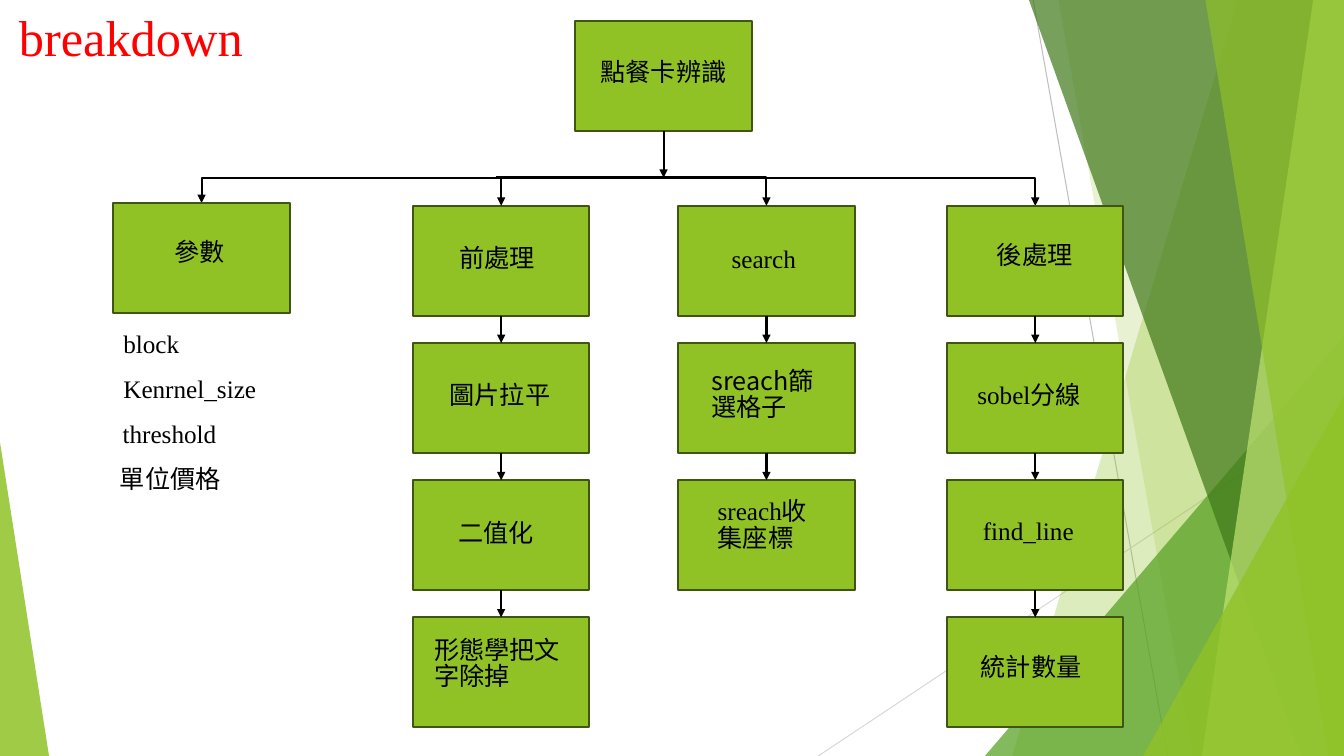
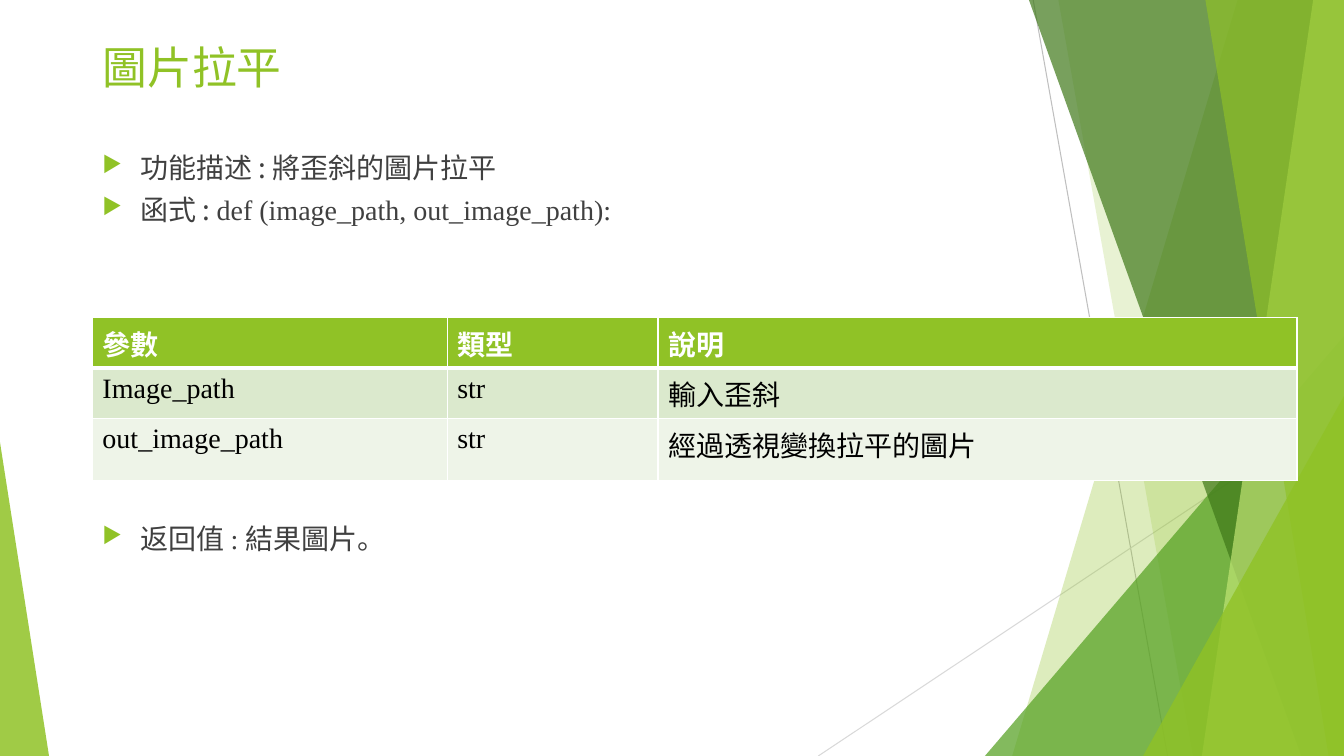
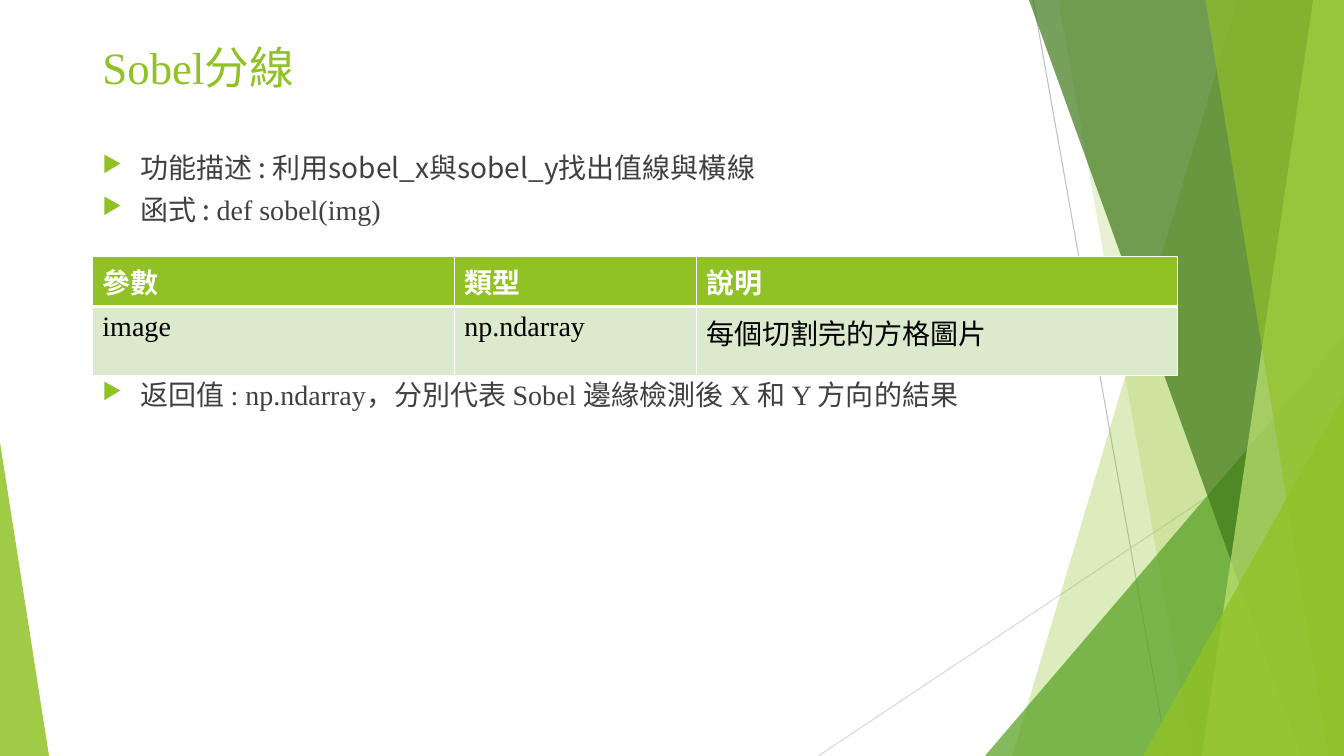
"""Build three slides on order card recognition: a breakdown chart and two function pages."""
from dataclasses import dataclass
from typing import Optional

import lxml.etree
import pptx
import pptx.dml.color
import pptx.enum.shapes
import pptx.enum.text
import pptx.oxml
import pptx.oxml.ns
import pptx.shapes.autoshape
import pptx.shapes.base
import pptx.shapes.connector
import pptx.slide
import pptx.table
import pptx.text.text
import pptx.util

Pt = pptx.util.Pt
RGBColor = pptx.dml.color.RGBColor
qn = pptx.oxml.ns.qn
SHAPE = pptx.enum.shapes.MSO_SHAPE
LINK = pptx.enum.shapes.MSO_CONNECTOR
ALIGN = pptx.enum.text.PP_ALIGN
ANCHOR = pptx.enum.text.MSO_ANCHOR

GREEN = RGBColor(0x90, 0xC2, 0x26)
LEAF = RGBColor(0x54, 0xA0, 0x21)
FOREST = RGBColor(0x3F, 0x78, 0x19)
LIME = RGBColor(0xC0, 0xE4, 0x74)
OLIVE = RGBColor(0x3F, 0x55, 0x11)
BAND_DARK = RGBColor(0xDB, 0xE9, 0xCD)
BAND_LIGHT = RGBColor(0xEE, 0xF4, 0xE8)
SILVER = RGBColor(0xBF, 0xBF, 0xBF)
MIST = RGBColor(0xD9, 0xD9, 0xD9)
CHARCOAL = RGBColor(0x40, 0x40, 0x40)
BLACK = RGBColor(0, 0, 0)
WHITE = RGBColor(0xFF, 0xFF, 0xFF)
RED = RGBColor(0xFF, 0, 0)

SANS = "Noto Sans CJK SC"
SERIF = "Times New Roman"
WIDTH, HEIGHT = 960, 540
BOX_WIDTH, BOX_HEIGHT = 126, 78.5
ROWS = [147 + 98 * step for step in range(4)]
BUS_TOP = 127


@dataclass(frozen=True)
class Span:
    text: str
    font: str = SANS


@dataclass(frozen=True)
class Band:
    top: float
    bottom: float
    color: RGBColor
    opacity: int


@dataclass(frozen=True)
class Wedge:
    left: float
    top: float
    width: float
    apex: float
    color: RGBColor
    opacity: int


@dataclass(frozen=True)
class Label:
    spans: list[Span]
    left: float
    top: float
    width: float
    align: ALIGN = ALIGN.LEFT
    height: float = 29


@dataclass(frozen=True)
class Column:
    left: float
    top: float
    labels: list[Label]


@dataclass(frozen=True)
class Bullet:
    spans: list[Span]
    before: float = 0


@dataclass(frozen=True)
class Grid:
    top: float
    widths: list[float]
    heights: list[float]
    rows: list[list[Span]]


@dataclass(frozen=True)
class FunctionPage:
    title: Span
    bullets: list[Bullet]
    body_height: float
    grid: Grid


BACKDROP = [
    Band(884, 723, GREEN, 30),
    Band(756, 852, GREEN, 20),
    Wedge(703.5, 240, 256.5, 1, LEAF, 72),
    Band(735, 929.5, FOREST, 70),
    Band(938, 858.5, LIME, 70),
    Band(861, 949, GREEN, 65),
    Wedge(816.5, 283, 143.5, 1, GREEN, 80),
    Wedge(0, 316, 35, 0, GREEN, 85),
]

ROOT = Column(411, 15, [Label([Span("點餐卡辨識")], 414, 39.5, 120, ALIGN.CENTER)])
PARAMETERS = Column(81, 145, [Label([Span("參數")], 117.5, 168, 53)])
STAGES = [
    Column(295, ROWS[0], [
        Label([Span("前處理")], 321, 172, 73),
        Label([Span("圖片拉平")], 314, 270, 89.5),
        Label([Span("二值化")], 320.5, 368.5, 75),
        Label([Span("形態學把文字除掉")], 303, 452, 110, height=51),
    ]),
    Column(484.5, ROWS[0], [
        Label([Span("search", SERIF)], 515.5, 170, 63.5),
        Label([Span("sreach篩選格子")], 501, 260, 92.5, height=51),
        Label([Span("sreach", SERIF), Span("收集座標")], 505.5, 353, 92.5, height=51),
    ]),
    Column(676.5, ROWS[0], [
        Label([Span("後處理")], 705, 170.5, 73.5),
        Label([Span("sobel", SERIF), Span("分線")], 691, 270, 97.5),
        Label([Span("find_line", SERIF)], 695, 364.5, 99.5),
        Label([Span("統計數量")], 693.5, 464.5, 92),
    ]),
]
PARAMETER_NAMES = [
    Label([Span("block", SERIF)], 81, 231, 64),
    Label([Span("Kenrnel_size", SERIF)], 81, 263, 111.5),
    Label([Span("threshold", SERIF)], 80.5, 295, 87),
    Label([Span("單位價格")], 78.5, 330.5, 87),
]
HEADINGS = [Span("參數"), Span("類型"), Span("說明")]

FUNCTION_PAGES = [
    FunctionPage(
        Span("圖片拉平"),
        [
            Bullet([Span("功能描述 : 將歪斜的圖片拉平")]),
            Bullet([Span("函式 : "),
                    Span("def (image_path, out_image_path):", SERIF)], 10),
            Bullet([Span("返回值 "), Span(": ", SERIF), Span("結果圖片。")], 215),
        ],
        387,
        Grid(227, [253.5, 150.5, 456.5], [36, 36, 44], [
            HEADINGS,
            [Span("Image_path", SERIF), Span("str", SERIF), Span("輸入歪斜", SERIF)],
            [Span("out_image_path", SERIF), Span("str", SERIF),
             Span("經過透視變換拉平的圖片")],
        ]),
    ),
    FunctionPage(
        Span("Sobel分線", SERIF),
        [
            Bullet([Span("功能描述 : 利用sobel_x與sobel_y找出值線與橫線")]),
            Bullet([Span("函式 : "), Span("def sobel(img)", SERIF)], 10),
            Bullet([
                Span("返回值 "), Span(": np.ndarray，", SERIF), Span("分別代表 "),
                Span("Sobel ", SERIF), Span("邊緣檢測後 "), Span("X ", SERIF),
                Span("和 "), Span("Y ", SERIF), Span("方向的結果"),
            ], 112.5),
        ],
        343,
        Grid(183, [258.5, 173, 343.5], [36, 49], [
            HEADINGS,
            [Span("image", SERIF), Span("np.ndarray", SERIF),
             Span("每個切割完的方格圖片", SERIF)],
        ]),
    ),
]


def add_spans(para: pptx.text.text._Paragraph, spans: list[Span], size: float,
              color: RGBColor, bold: bool = False) -> None:
    for span in spans:
        run = para.add_run()
        run.text = span.text
        run.font.size = Pt(size)
        run.font.bold = bold
        run.font.color.rgb = color
        run.font.name = span.font
        east_asian = lxml.etree.Element(qn("a:ea"), typeface=SANS)
        run.font._element.find(qn("a:latin")).addnext(east_asian)


def paint(shape: pptx.shapes.autoshape.Shape, color: RGBColor, opacity: int = 100) -> None:
    shape.shadow.inherit = False
    shape.fill.solid()
    shape.fill.fore_color.rgb = color
    shape.line.fill.background()
    if opacity < 100:
        tint = shape.element.spPr.find(qn("a:solidFill")).find(qn("a:srgbClr"))
        lxml.etree.SubElement(tint, qn("a:alpha"), val=str(opacity * 1000))


def add_link(page: pptx.slide.Slide, start: tuple[float, float], end: tuple[float, float],
             color: RGBColor = BLACK, weight: float = 1.5, head: bool = False,
             tail: bool = True, kind: LINK = LINK.STRAIGHT
             ) -> pptx.shapes.connector.Connector:
    link = page.shapes.add_connector(kind, *(Pt(value) for value in start + end))
    link.line.color.rgb = color
    link.line.width = Pt(weight)
    outline = link.line._get_or_add_ln()
    for tag, wanted in (("a:headEnd", head), ("a:tailEnd", tail)):
        if wanted:
            lxml.etree.SubElement(outline, qn(tag), type="triangle")
    lxml.etree.SubElement(link.element.spPr, qn("a:effectLst"))
    return link


def add_band(page: pptx.slide.Slide, band: Band) -> pptx.shapes.autoshape.Shape:
    builder = page.shapes.build_freeform(Pt(band.top), 0)
    corners = [(WIDTH, 0), (WIDTH, HEIGHT), (band.bottom, HEIGHT)]
    builder.add_line_segments([(Pt(x), Pt(y)) for x, y in corners], close=True)
    shape = builder.convert_to_shape()
    paint(shape, band.color, band.opacity)
    return shape


def add_wedge(page: pptx.slide.Slide, wedge: Wedge) -> pptx.shapes.autoshape.Shape:
    shape = page.shapes.add_shape(
        SHAPE.ISOSCELES_TRIANGLE, Pt(wedge.left), Pt(wedge.top),
        Pt(wedge.width), Pt(HEIGHT - wedge.top))
    shape.adjustments[0] = wedge.apex
    paint(shape, wedge.color, wedge.opacity)
    return shape


def move_backdrop_to_layout(page: pptx.slide.Slide) -> None:
    layout = page.slide_layout
    for holder in list(layout.placeholders)[1:]:
        layout.shapes.element.remove(holder.element)
    parts: list[pptx.shapes.base.BaseShape] = [
        add_link(page, (738, 0), (834, HEIGHT), SILVER, 0.75, tail=False),
        add_link(page, (WIDTH, 290), (584.5, HEIGHT), MIST, 0.75, tail=False),
    ]
    for piece in BACKDROP:
        parts.append(add_band(page, piece) if isinstance(piece, Band)
                     else add_wedge(page, piece))
    for position, part in enumerate(parts, start=2):
        layout.shapes.element.insert(position, part.element)


def set_title(page: pptx.slide.Slide, span: Span, place: tuple[float, float, float, float],
              size: float = 32, color: RGBColor = GREEN, align: ALIGN = ALIGN.LEFT,
              anchor: ANCHOR = ANCHOR.TOP) -> None:
    title = page.shapes.title
    title.left, title.top, title.width, title.height = (Pt(value) for value in place)
    frame = title.text_frame
    frame.auto_size = pptx.enum.text.MSO_AUTO_SIZE.NONE
    frame.vertical_anchor = anchor
    para = frame.paragraphs[0]
    para.alignment = align
    para.line_spacing = 0.9
    add_spans(para, [span], size, color)


def add_label(page: pptx.slide.Slide, label: Label) -> None:
    box = page.shapes.add_textbox(
        Pt(label.left), Pt(label.top), Pt(label.width), Pt(label.height))
    box.text_frame.word_wrap = True
    para = box.text_frame.paragraphs[0]
    para.alignment = label.align
    if any(span.font == SANS for span in label.spans):
        para.line_spacing = 0.88
    add_spans(para, label.spans, 18, BLACK)


def add_column(page: pptx.slide.Slide, column: Column) -> pptx.shapes.autoshape.Shape:
    boxes: list[pptx.shapes.autoshape.Shape] = []
    for row, label in enumerate(column.labels):
        top = column.top + row * (ROWS[1] - ROWS[0])
        box = page.shapes.add_shape(
            SHAPE.RECTANGLE, Pt(column.left), Pt(top), Pt(BOX_WIDTH), Pt(BOX_HEIGHT))
        paint(box, GREEN)
        box.line.color.rgb = OLIVE
        box.line.width = Pt(1.5)
        add_label(page, label)
        boxes.append(box)
    center = column.left + BOX_WIDTH / 2
    for upper, lower in zip(boxes, boxes[1:]):
        link = add_link(page, (center, column.top), (center, column.top))
        link.begin_connect(upper, 2)
        link.end_connect(lower, 0)
    return boxes[0]


def add_bus(page: pptx.slide.Slide, left: float, left_top: float,
            right: float, right_top: float) -> None:
    middle_x, middle_y = (left + right) / 2, (left_top + right_top) / 2
    half_span, half_drop = (right - left) / 2, (right_top - left_top) / 2
    bus = add_link(page, (middle_x + half_drop, middle_y - half_span),
                   (middle_x - half_drop, middle_y + half_span),
                   head=True, kind=LINK.ELBOW)
    bus.element.spPr.find(qn("a:xfrm")).set("rot", str(270 * 60000))
    bend = (BUS_TOP - left_top) / (right_top - left_top)
    guides = bus.element.spPr.find(qn("a:prstGeom")).find(qn("a:avLst"))
    lxml.etree.SubElement(guides, qn("a:gd"), name="adj1",
                          fmla=f"val {round(bend * 100000)}")


def build_breakdown(page: pptx.slide.Slide) -> None:
    set_title(page, Span("breakdown", SERIF), (0, 0, 187, 57), 36, RED,
              ALIGN.CENTER, ANCHOR.MIDDLE)
    centers = [stage.left + BOX_WIDTH / 2 for stage in STAGES]
    add_bus(page, PARAMETERS.left + BOX_WIDTH / 2, PARAMETERS.top, centers[2], ROWS[0])
    for label in PARAMETER_NAMES:
        add_label(page, label)
    root = add_column(page, ROOT)
    add_column(page, PARAMETERS)
    heads = [add_column(page, stage) for stage in STAGES]
    root_center = ROOT.left + BOX_WIDTH / 2
    add_link(page, (root_center, ROOT.top), (root_center, BUS_TOP)).begin_connect(root, 2)
    add_link(page, (centers[0], BUS_TOP), (centers[0], ROWS[0])).end_connect(heads[0], 0)
    branch = add_link(page, (354, BUS_TOP - 0.5), (centers[1], ROWS[0]), kind=LINK.ELBOW)
    branch.element.spPr.find(qn("a:prstGeom")).set("prst", "bentConnector2")


def add_bullets(page: pptx.slide.Slide, bullets: list[Bullet], height: float) -> None:
    box = page.shapes.add_textbox(Pt(66), Pt(106), Pt(828), Pt(height))
    frame = box.text_frame
    frame.word_wrap = True
    frame.margin_top = Pt(6)
    for index, bullet in enumerate(bullets):
        para = frame.add_paragraph() if index else frame.paragraphs[0]
        settings = para._p.get_or_add_pPr()
        settings.set("marL", str(Pt(27)))
        settings.set("indent", str(-Pt(27)))
        tint = lxml.etree.SubElement(settings, qn("a:buClr"))
        lxml.etree.SubElement(tint, qn("a:srgbClr"), val=str(GREEN))
        lxml.etree.SubElement(settings, qn("a:buSzPct"), val="80000")
        lxml.etree.SubElement(settings, qn("a:buChar"), char="▶")
        para.line_spacing = 0.82
        if bullet.before:
            para.space_before = Pt(bullet.before)
        add_spans(para, bullet.spans, 20, CHARCOAL)


def set_border(cell: pptx.table._Cell, side: str, weight: float) -> None:
    edge = lxml.etree.SubElement(cell._tc.get_or_add_tcPr(), qn(f"a:ln{side}"),
                                 w=str(Pt(weight)))
    fill = lxml.etree.SubElement(edge, qn("a:solidFill"))
    lxml.etree.SubElement(fill, qn("a:srgbClr"), val=str(WHITE))


def add_grid(page: pptx.slide.Slide, grid: Grid) -> None:
    table = page.shapes.add_table(
        len(grid.heights), len(grid.widths), Pt(66), Pt(grid.top),
        Pt(sum(grid.widths)), Pt(sum(grid.heights))).table
    for column, width in zip(table.columns, grid.widths):
        column.width = Pt(width)
    fills = [GREEN, BAND_DARK, BAND_LIGHT]
    for row, (height, spans) in enumerate(zip(grid.heights, grid.rows)):
        table.rows[row].height = Pt(height)
        heading = row == 0
        for index, span in enumerate(spans):
            cell = table.cell(row, index)
            for side in "LRTB":
                thick = (heading and side == "B") or (row == 1 and side == "T")
                set_border(cell, side, 3 if thick else 1)
            cell.fill.solid()
            cell.fill.fore_color.rgb = fills[row]
            add_spans(cell.text_frame.paragraphs[0], [span], 20,
                      WHITE if heading else BLACK, heading)


def build_function_page(page: pptx.slide.Slide, content: FunctionPage) -> None:
    set_title(page, content.title, (66, 29, 828, 77))
    add_bullets(page, content.bullets, content.body_height)
    add_grid(page, content.grid)


def main() -> None:
    deck = pptx.Presentation()
    deck.slide_width, deck.slide_height = Pt(WIDTH), Pt(HEIGHT)
    layout = deck.slide_layouts[5]
    first = deck.slides.add_slide(layout)
    move_backdrop_to_layout(first)
    build_breakdown(first)
    for content in FUNCTION_PAGES:
        build_function_page(deck.slides.add_slide(layout), content)
    deck.save("out.pptx")


if __name__ == "__main__":
    main()
